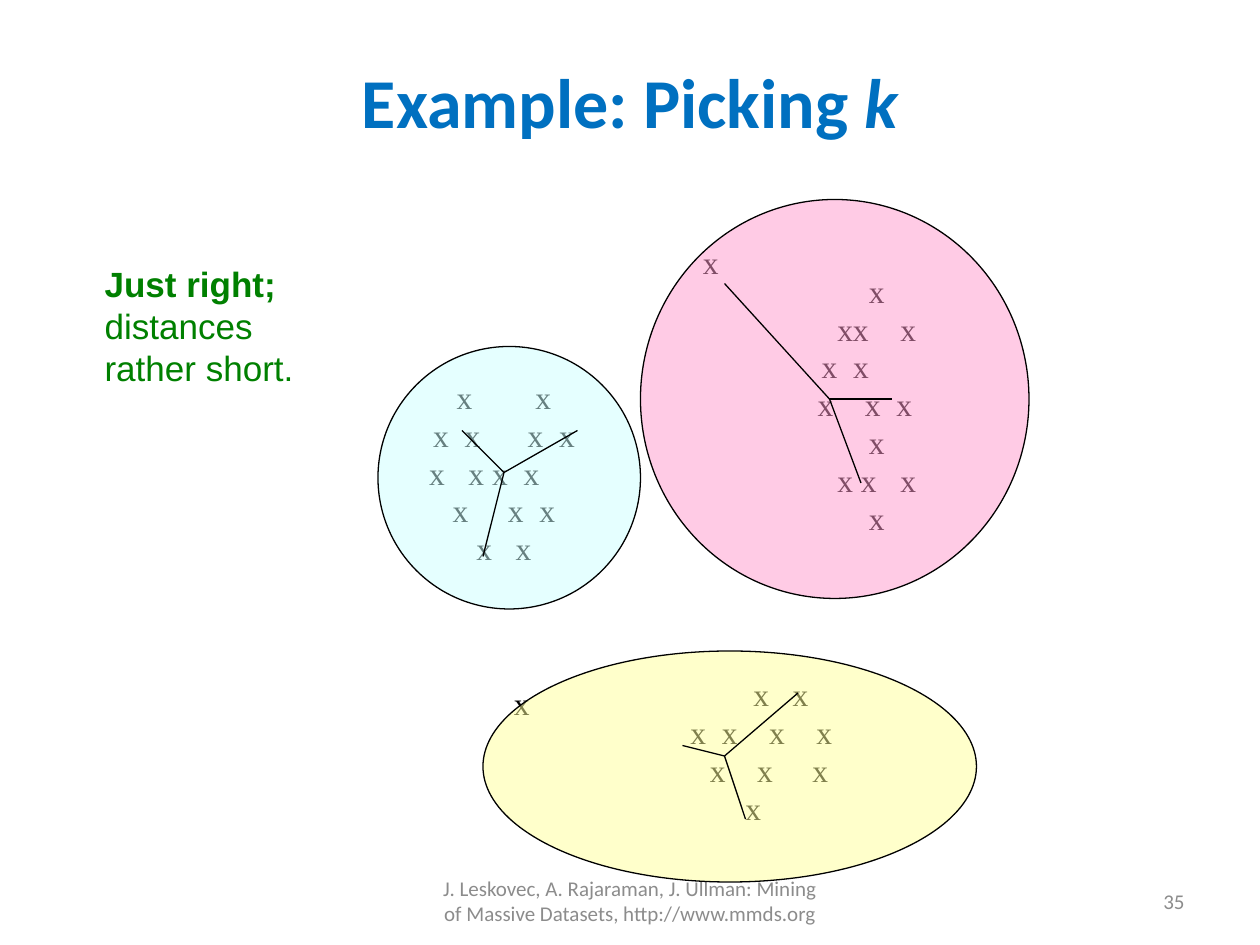
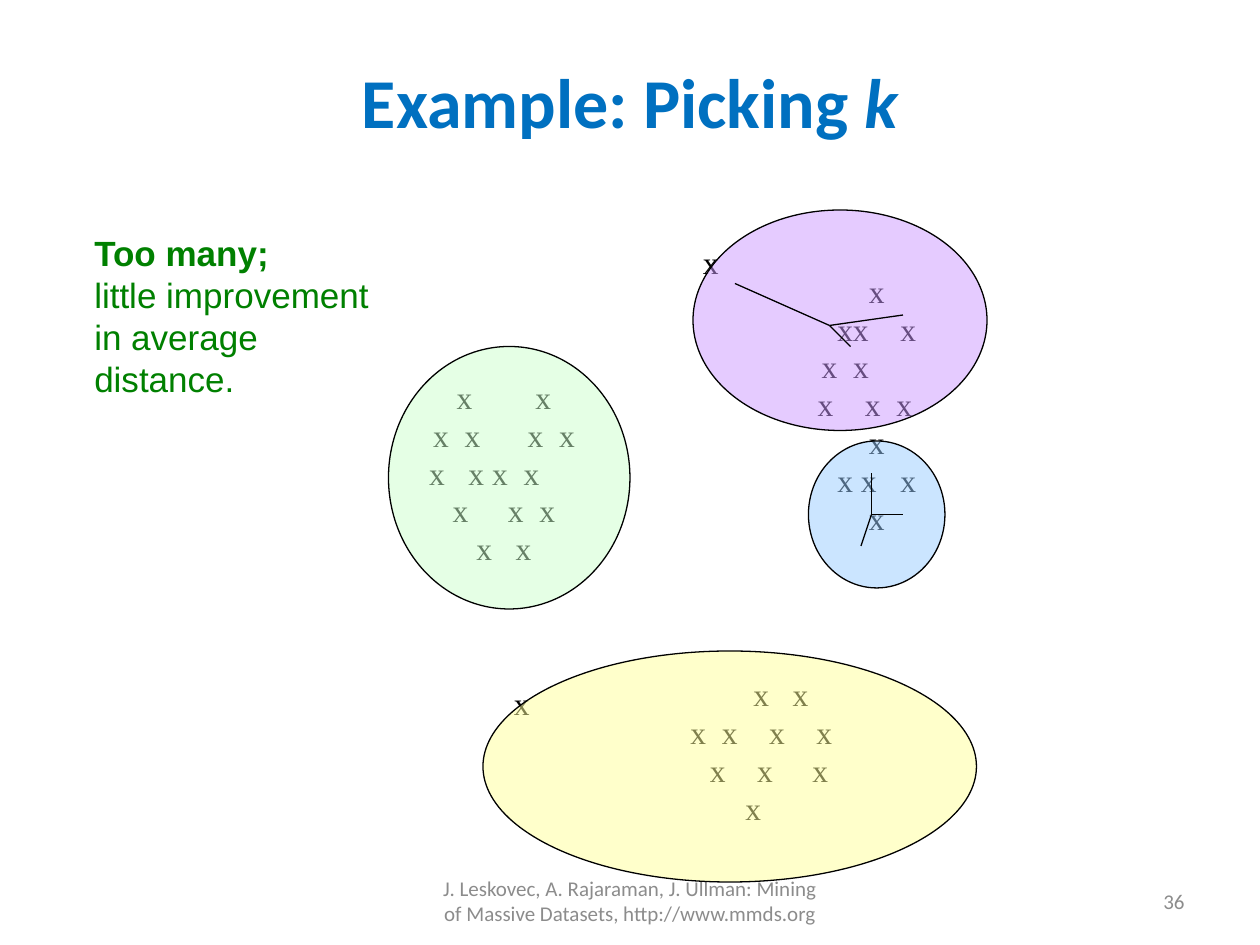
from lxml.etree import SubElement
from pptx import Presentation
from pptx.dml.color import RGBColor
from pptx.enum.shapes import MSO_CONNECTOR as Connector, MSO_SHAPE as Shape
from pptx.enum.text import MSO_ANCHOR as Anchor, MSO_AUTO_SIZE as AutoSize, PP_ALIGN as Align
from pptx.oxml.ns import qn
from pptx.util import Inches, Pt

COLUMNS, ROWS = 120, 90
CELL = Inches(10) // COLUMNS
HALF_LETTER = Inches(1) // 16
ELLIPSE_INSET = (1 - 0.5 ** 0.5) / 2

BLACK = "000000"
TITLE_FONT = dict(name="Calibri", size=Pt(40), bold=True, color="0070C0")
FOOTER_FONT = dict(name="Calibri", size=Pt(12), color="8C8C8C")
POINT_FONT = dict(name="Times New Roman", size=Pt(18), color=BLACK)
CAPTION_FONT = dict(name="Arial", size=Pt(20), color="008000")
FLOATING = dict(word_wrap=False, auto_size=AutoSize.SHAPE_TO_FIT_TEXT)
CENTRED = dict(word_wrap=True, vertical_anchor=Anchor.MIDDLE)
NO_MARGINS = dict(margin_left=0, margin_right=0, margin_top=0, margin_bottom=0)

FOOTER = "J. Leskovec, A. Rajaraman, J. Ullman: Mining of Massive Datasets, http://www.mmds.org"
TITLE_AREA = (6, 3.6, 108, 11.88)
FOOTER_AREA = (41, 83.4, 38, 4.8)
NUMBER_AREA = (86, 83.4, 28, 4.8)

POINT_CLOUDS = [
    ((36, 30, 24, 30), ["x........x", "x..x......x..x", "x...x x..x.....", "x.....x..x", "x...x"]),
    ((72, 20, 23, 37), ["x", "xx....x", "x..x........", "x....x..x...", "x", "x x...x", "x"]),
    ((60, 61, 25, 21), [".....x...x", "x..x....x....x", "..x....x.....x", "x.."]),
]
OUTLIERS = [(65.76, 22.6, 4.44, 6), (47.76, 64.6, 4.44, 6)]
LOWER_CLUSTER = ((46, 62, 47, 22), "FFFF99")

EXAMPLES = [
    dict(
        number=35,
        caption=["Just right;", "distances", "rather short."],
        caption_area=(8.78, 24.42, 20.5, 13.3),
        clusters=[LOWER_CLUSTER, ((36, 33, 25, 25), "CCFFFF"), ((61, 19, 37, 38), "FF99CC")],
        spokes=[
            ((48, 45), [(44, 41), (55, 41), (46, 53)]),
            ((69, 72), [(65, 71), (76, 66), (71, 78)]),
            ((79, 38), [(69, 27), (85, 38), (82, 46)]),
        ],
    ),
    dict(
        number=36,
        caption=["Too many;", "little improvement", "in average", "distance."],
        caption_area=(7.8, 21.45, 28.8, 17.4),
        clusters=[LOWER_CLUSTER, ((37, 33, 23, 25), "CCFFCC"),
                  ((66, 20, 28, 21), "CC99FF"), ((77, 42, 13, 14), "99CCFF")],
        spokes=[
            ((79, 31), [(70, 27), (86, 30), (81, 33)]),
            ((83, 49), [(83, 45), (86, 49), (82, 52)]),
        ],
    ),
]


def cells(values):
    return [round(value * CELL) for value in values]


def rgb(hex_color):
    return RGBColor.from_string(hex_color)


def apply(target, formats):
    for key, value in formats.items():
        setattr(target, key, value)


def add_run(paragraph, words, font, **extra):
    run = paragraph.add_run()
    run.text = words
    formats = {**font, **extra}
    run.font.color.rgb = rgb(formats.pop("color"))
    apply(run.font, formats)


def paragraphs(frame, count):
    return [frame.paragraphs[0]] + [frame.add_paragraph() for _ in range(count - 1)]


def add_label(slide, area, words, font, frame_format, align=Align.LEFT):
    frame = slide.shapes.add_textbox(*cells(area)).text_frame
    apply(frame, frame_format)
    frame.paragraphs[0].alignment = align
    add_run(frame.paragraphs[0], words, font)


def add_title(slide):
    title = slide.shapes.title
    apply(title, dict(zip(("left", "top", "width", "height"), cells(TITLE_AREA))))
    apply(title.text_frame, CENTRED)
    heading = title.text_frame.paragraphs[0]
    heading.alignment = Align.CENTER
    add_run(heading, "Example: Picking ", TITLE_FONT)
    add_run(heading, "k", TITLE_FONT, italic=True)


def add_ellipse(slide, area):
    ellipse = slide.shapes.add_shape(Shape.OVAL, *cells(area))
    ellipse.shadow.inherit = False
    return ellipse


def half_letters(pattern):
    return len(pattern) + pattern.count("x")


def place_points(paragraph, pattern, middle):
    column = -half_letters(pattern) / 2
    tabs = SubElement(paragraph._p.get_or_add_pPr(), qn("a:tabLst"))
    for points in pattern.split("."):
        if points:
            stop = round(middle + column * HALF_LETTER)
            SubElement(tabs, qn("a:tab"), pos=str(stop), algn="l")
            add_run(paragraph, "\t" + points, POINT_FONT)
        column += half_letters(points) + 1


def add_point_cloud(slide, area, patterns):
    cloud = add_ellipse(slide, area)
    cloud.fill.background()
    cloud.line.fill.background()
    apply(cloud.text_frame, {**CENTRED, **NO_MARGINS})
    middle = cloud.width * (0.5 - ELLIPSE_INSET)
    for paragraph, pattern in zip(paragraphs(cloud.text_frame, len(patterns)), patterns):
        paragraph.alignment = Align.LEFT
        place_points(paragraph, pattern, middle)


def add_cluster(slide, area, color):
    cluster = add_ellipse(slide, area)
    cluster.fill.solid()
    cluster.fill.fore_color.rgb = rgb(color)
    tint = cluster._element.spPr.find(qn("a:solidFill"))[0]
    SubElement(tint, qn("a:alpha"), val="50000")
    draw_outline(cluster.line)


def draw_outline(line):
    line.color.rgb = rgb(BLACK)
    line.width = Pt(0.75)


def add_spokes(slide, centroid, ends):
    group = slide.shapes.add_group_shape()
    for end in ends:
        spoke = group.shapes.add_connector(Connector.STRAIGHT, *cells(centroid + end))
        draw_outline(spoke.line)
        SubElement(spoke._element.spPr, qn("a:effectLst"))


def add_caption(slide, area, lines):
    frame = slide.shapes.add_textbox(*cells(area)).text_frame
    apply(frame, FLOATING)
    for index, paragraph in enumerate(paragraphs(frame, len(lines))):
        add_run(paragraph, lines[index], CAPTION_FONT, bold=index == 0)


def add_example(deck, example):
    slide = deck.slides.add_slide(deck.slide_layouts[5])
    add_title(slide)
    add_label(slide, FOOTER_AREA, FOOTER, FOOTER_FONT, CENTRED, Align.CENTER)
    add_label(slide, NUMBER_AREA, str(example["number"]), FOOTER_FONT, CENTRED, Align.RIGHT)
    for area, patterns in POINT_CLOUDS:
        add_point_cloud(slide, area, patterns)
    for area in OUTLIERS:
        add_label(slide, area, "x", POINT_FONT, FLOATING)
    for area, color in example["clusters"]:
        add_cluster(slide, area, color)
    for centroid, ends in example["spokes"]:
        add_spokes(slide, centroid, ends)
    add_caption(slide, example["caption_area"], example["caption"])


def main():
    deck = Presentation()
    deck.slide_width, deck.slide_height = cells((COLUMNS, ROWS))
    for example in EXAMPLES:
        add_example(deck, example)
    deck.save("out.pptx")


if __name__ == "__main__":
    main()
